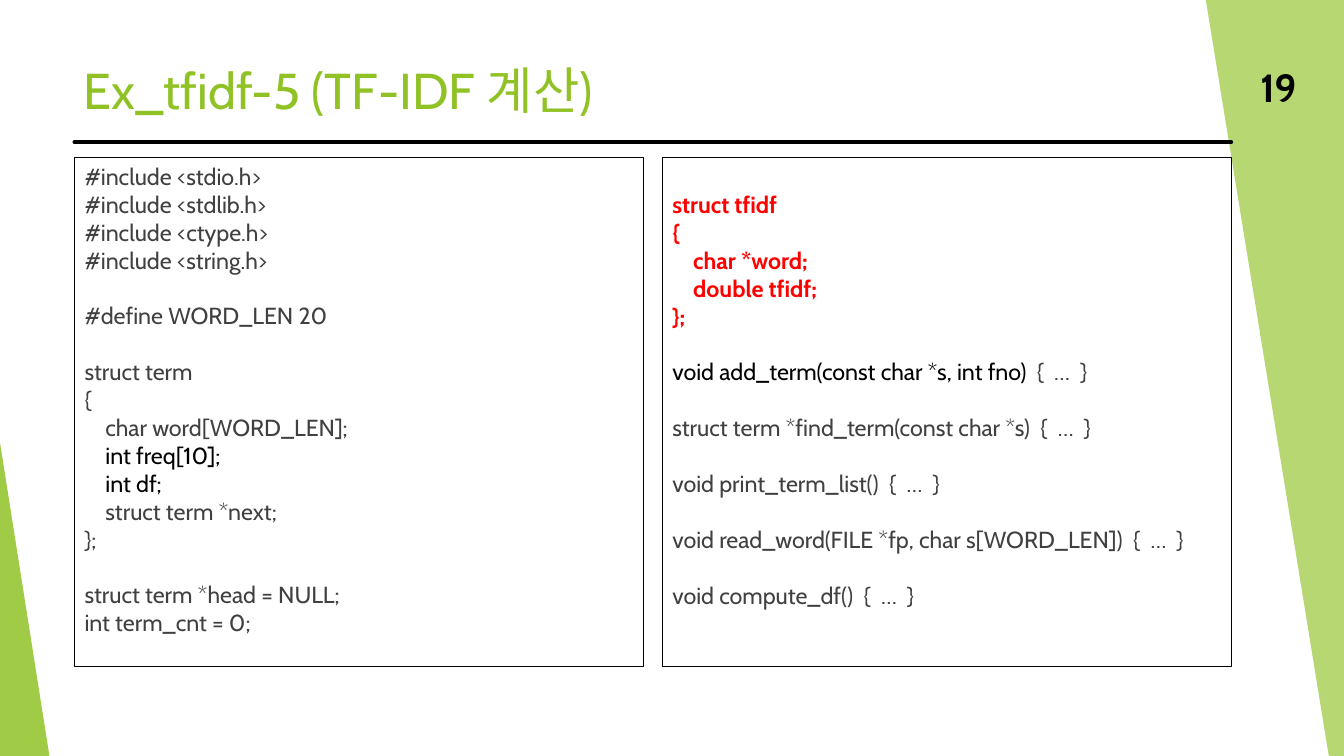
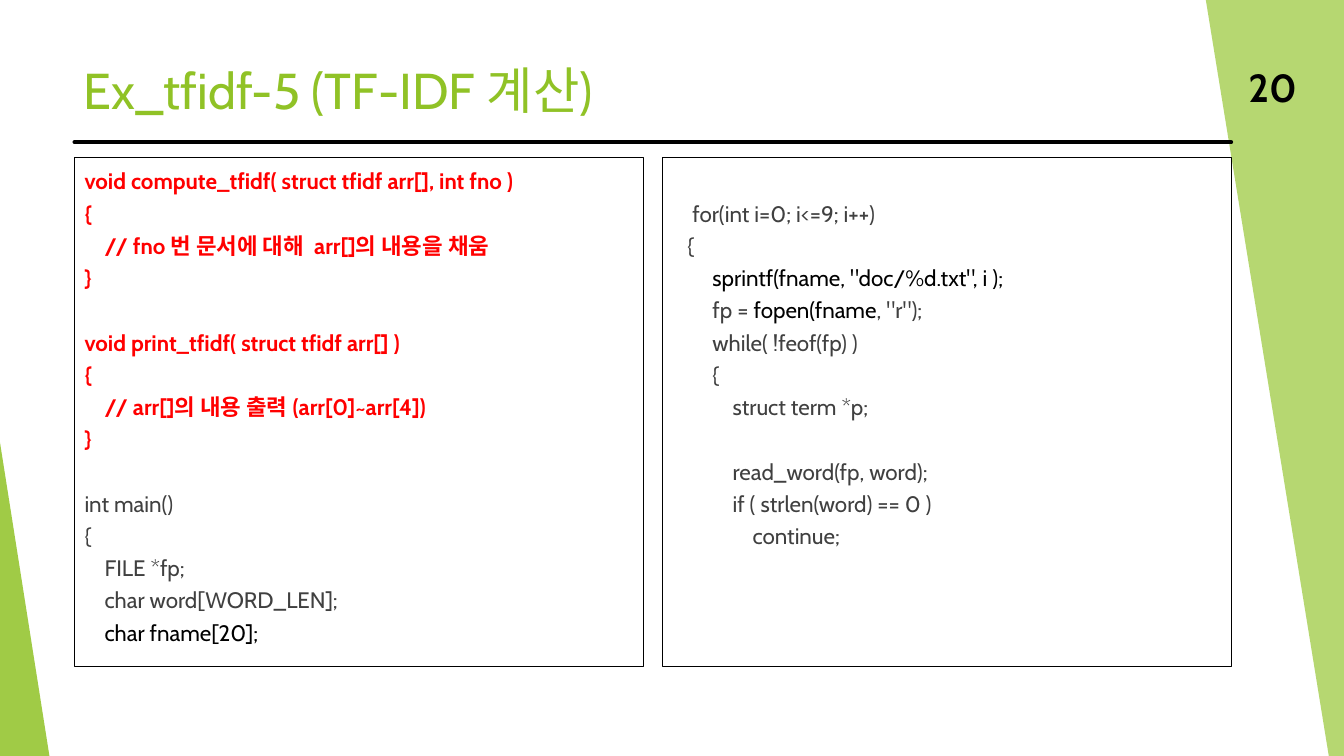
from lxml import etree
from pptx import Presentation
from pptx.dml.color import RGBColor
from pptx.enum.shapes import MSO_CONNECTOR, MSO_SHAPE
from pptx.enum.text import MSO_ANCHOR, PP_ALIGN
from pptx.oxml.ns import qn
from pptx.util import Inches, Pt

STRAIGHT = MSO_CONNECTOR.STRAIGHT
RECTANGLE, TRIANGLE = MSO_SHAPE.RECTANGLE, MSO_SHAPE.ISOSCELES_TRIANGLE
TOP, MIDDLE = MSO_ANCHOR.TOP, MSO_ANCHOR.MIDDLE
LEFT, RIGHT = PP_ALIGN.LEFT, PP_ALIGN.RIGHT

THEME = {
    "font": "Cabin",
    "green": RGBColor(0x90, 0xC2, 0x26),
    "black": RGBColor(0, 0, 0),
    "title_size": 36,
    "number_size": 28,
    "line_height": 1.2,
    "tones": {
        "plain": (RGBColor(0x40, 0x40, 0x40), False),
        "changed": (RGBColor(0, 0, 0), False),
        "new": (RGBColor(0xFF, 0, 0), True),
    },
}


def style(font, size, color, bold=False):
    font.name = THEME["font"]
    font.size = Pt(size)
    font.color.rgb = color
    font.bold = bold


def lines(tone, *texts):
    return [[(tone, text)] for text in texts]


TITLE = "Ex_tfidf-5 (TF-IDF 계산)"
PANEL_LEFT, PANEL_TOP, PANEL_WIDTH, PANEL_HEIGHT = 0.74, 1.56, 5.64, 5.05
PANEL_PITCH = 5.83
INSET = 0.05

declarations = [
    lines("plain", "#include <stdio.h>", "#include <stdlib.h>",
          "#include <ctype.h>", "#include <string.h>"),
    lines("plain", "#define WORD_LEN 20"),
    lines("plain", "struct term", "{", "    char word[WORD_LEN];")
    + lines("changed", "    int freq[10];", "    int df;")
    + lines("plain", "    struct term *next;", "};"),
    lines("plain", "struct term *head = NULL;", "int term_cnt = 0;"),
]
functions = [
    lines("new", "struct tfidf", "{", "    char *word;", "    double tfidf;", "};"),
    [[("changed", "void add_term(const char *s, int fno)  "), ("plain", "{  …  }")]],
    lines("plain", "struct term *find_term(const char *s)  {  …  }"),
    lines("plain", "void print_term_list()  {  …  }"),
    lines("plain", "void read_word(FILE *fp, char s[WORD_LEN])  {  …  }"),
    lines("plain", "void compute_df()  {  …  }"),
]
main_start = [
    lines("new", "void compute_tfidf( struct tfidf arr[], int fno )", "{",
          "    // fno 번 문서에 대해  arr[]의 내용을 채움", "}"),
    lines("new", "void print_tfidf( struct tfidf arr[] )", "{",
          "    // arr[]의 내용 출력 (arr[0]~arr[4])", "}"),
    lines("plain", "int main()", "{", "    FILE *fp;", "    char word[WORD_LEN];")
    + lines("changed", "    char fname[20];"),
]
main_loop = [
    lines("plain", "    for(int i=0; i<=9; i++)", "   {")
    + lines("changed", '        sprintf(fname, "doc/%d.txt", i );')
    + [[("plain", "        fp = "), ("changed", "fopen(fname"), ("plain", ', "r");')]]
    + lines("plain", "        while( !feof(fp) )", "        {",
            "            struct term *p;"),
    lines("plain", "            read_word(fp, word);",
          "            if ( strlen(word) == 0 )", "                continue;"),
]

PAGES = [
    (19, 16.6, 1.0, (declarations, functions)),
    (20, 16, 1.2, (main_start, main_loop)),
]

deck = Presentation()
deck.slide_width, deck.slide_height = Inches(13.33), Inches(7.5)

for number, code_size, spacing, panels in PAGES:
    slide = deck.slides.add_slide(deck.slide_layouts[6])
    shapes = slide.shapes

    outline = shapes.build_freeform(Inches(11.96), 0, scale=1.0)
    outline.add_line_segments(
        [(Inches(x), Inches(y)) for x, y in ((13.33, 0), (13.33, 7.5), (13.18, 7.5))])
    right_band = outline.convert_to_shape()
    left_wedge = shapes.add_shape(
        TRIANGLE, 0, Inches(4.39), Inches(0.49), Inches(3.11))
    left_wedge.adjustments[0] = 0
    for band, opacity in ((right_band, 65), (left_wedge, 85)):
        band.shadow.inherit = False
        band.fill.solid()
        band.fill.fore_color.rgb = THEME["green"]
        band.line.fill.background()
        tint = band.fill._xPr.find(qn("a:solidFill"))[0]
        etree.SubElement(tint, qn("a:alpha")).set("val", str(opacity * 1000))

    rule = shapes.add_connector(
        STRAIGHT, Inches(0.74), Inches(1.41), Inches(12.21), Inches(1.41))
    rule.line.color.rgb = THEME["black"]
    rule.line.width = Pt(3)
    rule_properties = rule._element.spPr
    rule_properties.find(qn("a:ln")).set("cap", "rnd")
    etree.SubElement(rule_properties, qn("a:effectLst"))

    for text, area, size, color, bold, align in (
        (TITLE, (0.73, 0.49, 11.12, 0.8), THEME["title_size"],
         THEME["green"], False, LEFT),
        (str(number), (12.21, 0.66, 0.75, 0.4), THEME["number_size"],
         THEME["black"], True, RIGHT),
    ):
        heading = shapes.add_textbox(*map(Inches, area)).text_frame
        heading.word_wrap = True
        heading.vertical_anchor = MIDDLE
        heading.text = text
        heading.paragraphs[0].alignment = align
        style(heading.paragraphs[0].font, size, color, bold)

    blank_line = Pt(code_size * THEME["line_height"] * spacing)
    for column, blocks in enumerate(panels):
        panel = shapes.add_shape(
            RECTANGLE, Inches(PANEL_LEFT + column * PANEL_PITCH), Inches(PANEL_TOP),
            Inches(PANEL_WIDTH), Inches(PANEL_HEIGHT))
        panel.shadow.inherit = False
        panel.fill.background()
        panel.line.color.rgb = THEME["black"]
        panel.line.width = Pt(0.75)
        code = panel.text_frame
        code.word_wrap = True
        code.vertical_anchor = TOP
        code.margin_top = Inches(INSET) + column * blank_line

        for block_index, block in enumerate(blocks):
            for line_index, parts in enumerate(block):
                first = block_index == line_index == 0
                paragraph = code.paragraphs[0] if first else code.add_paragraph()
                paragraph.alignment = LEFT
                paragraph.line_spacing = spacing
                if line_index == 0 and not first:
                    paragraph.space_before = blank_line
                style(paragraph.font, code_size, *THEME["tones"][parts[0][0]])
                for tone, text in parts:
                    run = paragraph.add_run()
                    run.text = text
                    if len(parts) > 1:
                        run.font.color.rgb = THEME["tones"][tone][0]

deck.save("out.pptx")
